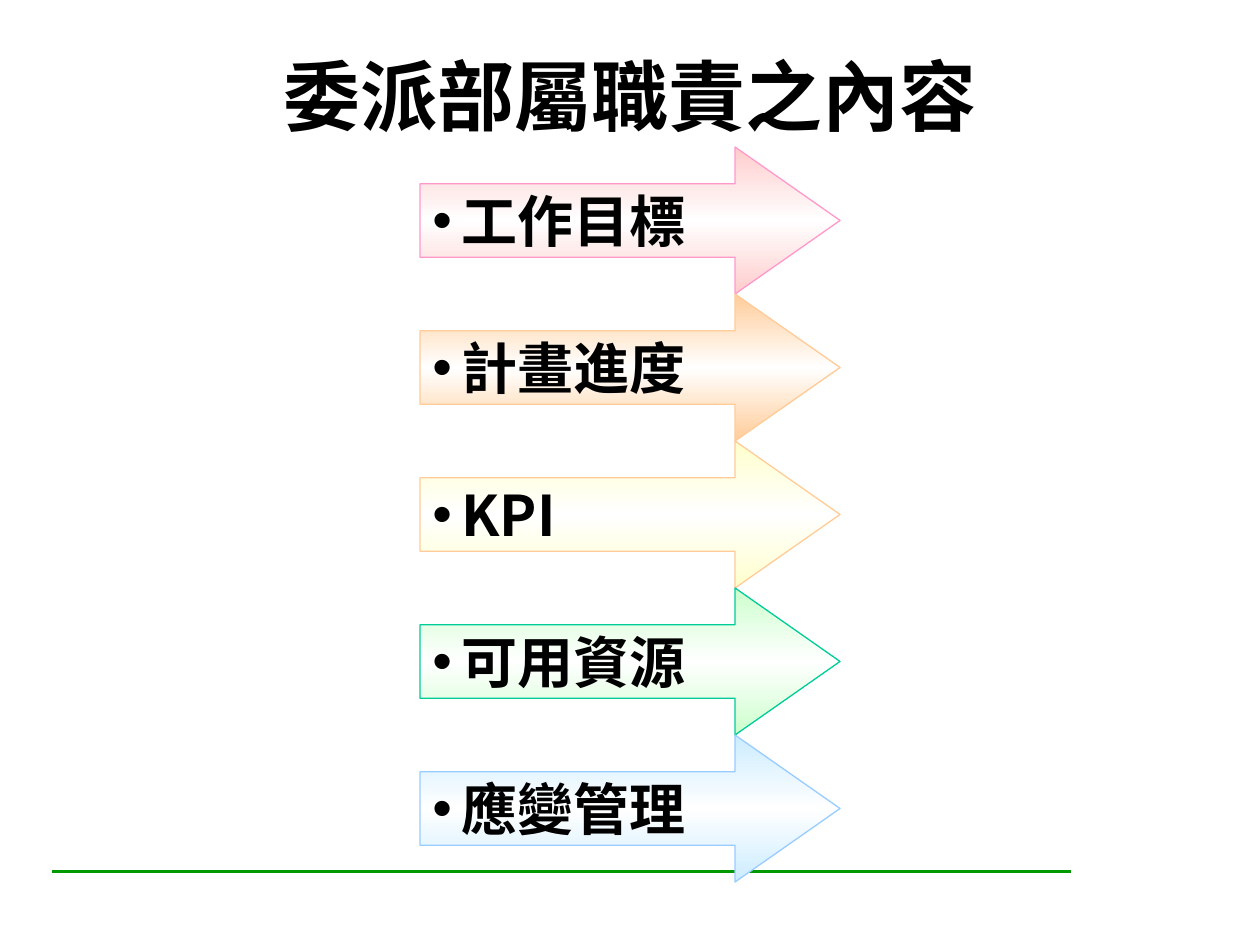
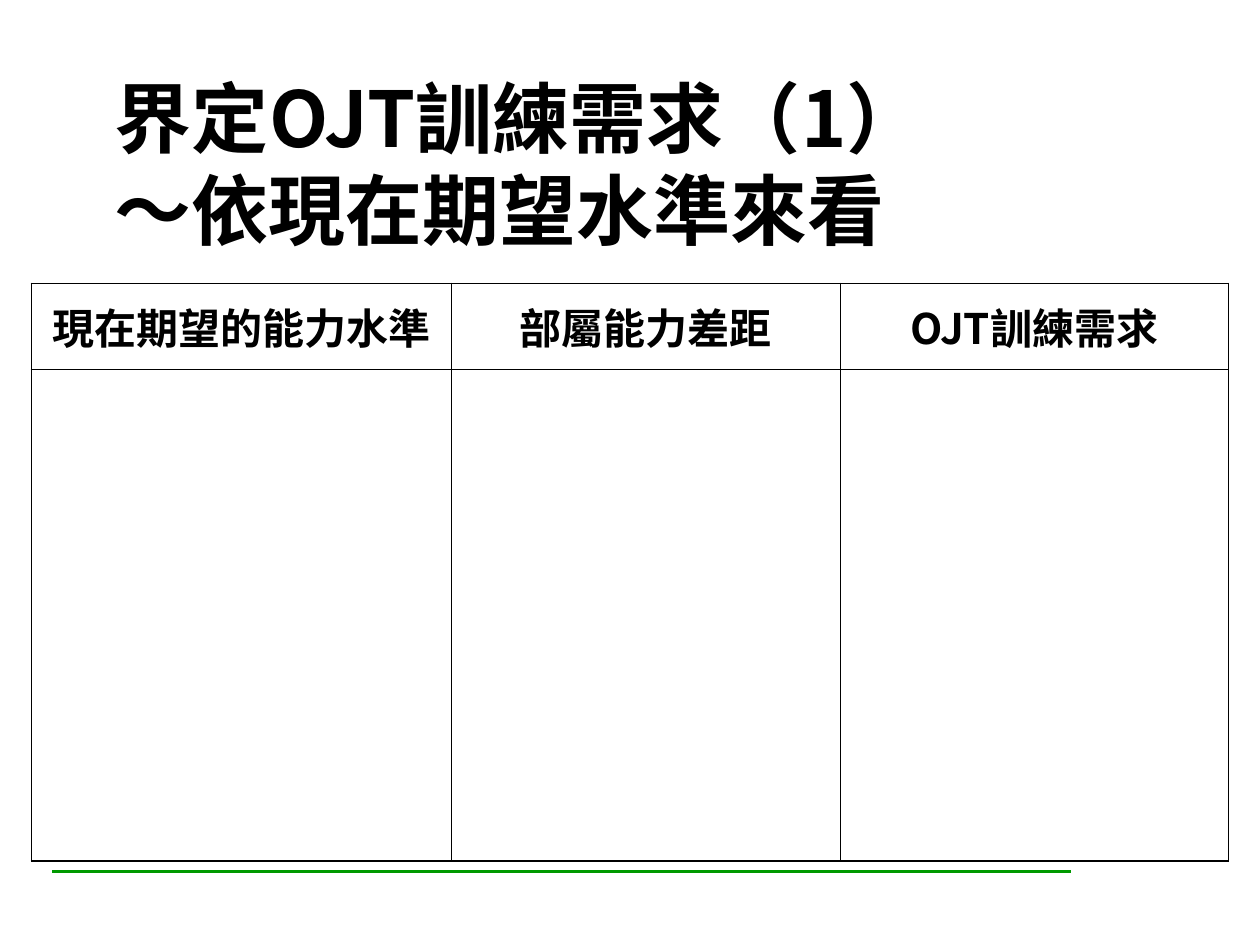
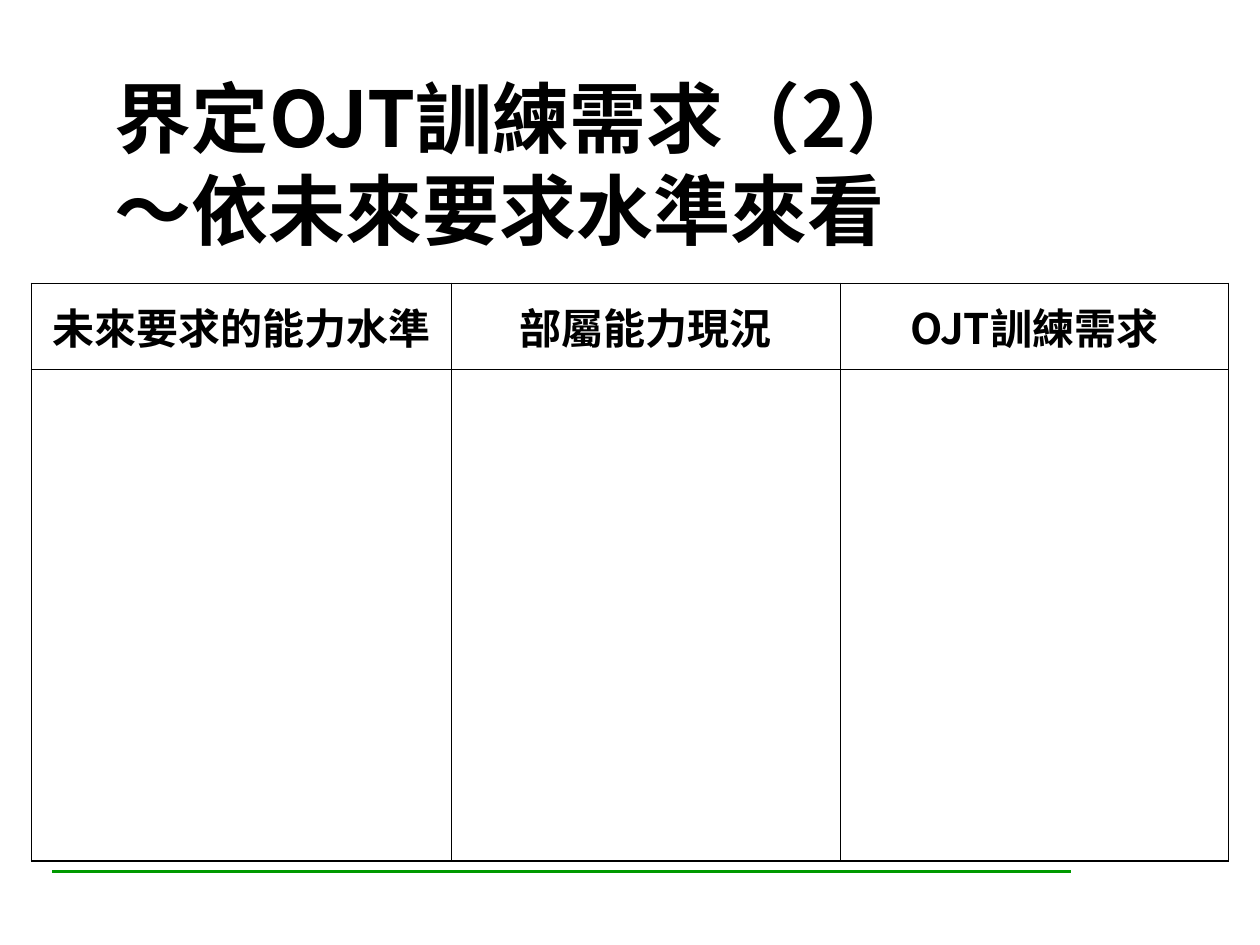
from copy import deepcopy
from typing import NamedTuple

from lxml.etree import SubElement
from pptx import Presentation
from pptx.dml.color import RGBColor
from pptx.enum.shapes import MSO_CONNECTOR as Connector, MSO_SHAPE as Preset
from pptx.enum.text import MSO_ANCHOR as Anchor, MSO_AUTO_SIZE as AutoSize, PP_ALIGN as Align
from pptx.oxml.ns import qn
from pptx.util import Emu, Inches, Pt

FONT, BULLET_FONT = "Noto Sans CJK SC", "Arial"
BULLET_INDENT = Inches(0.23)
BLACK, WHITE, GREEN = "000000", "FFFFFF", "009900"
UNIT = Inches(1) / 12  # the slide is a grid of 120 columns by 90 rows
SLIDE_COLS, SLIDE_ROWS = 120, 90
THICK, THIN = 1.08, 0.45
TITLE_ONLY = 5


class Area(NamedTuple):
    """A block of grid cells."""
    col: float
    row: float
    cols: float
    rows: float


class Duty(NamedTuple):
    label: str
    tint: str
    outline: str


class Need(NamedTuple):
    title: str
    headings: tuple[str, ...]


DUTIES = (
    Duty("工作目標", "FFCCCC", "FF99CC"),
    Duty("計畫進度", "FFCC99", "FFCC99"),
    Duty("KPI", "FFFFCC", "FFCC99"),
    Duty("可用資源", "CCFFCC", "00CC99"),
    Duty("應變管理", "CCECFF", "99CCFF"),
)
NEEDS = (
    Need("界定OJT訓練需求（1）\v～依現在期望水準來看",
         ("現在期望的能力水準", "部屬能力差距", "OJT訓練需求")),
    Need("界定OJT訓練需求（2）\v～依未來要求水準來看",
         ("未來要求的能力水準", "部屬能力現況", "OJT訓練需求")),
)
DUTY_TITLE = Area(9.5, 4.5, 101, 9)
NEED_TITLE = Area(9.75, 8.75, 100.5, 13.5)
FIRST_ARROW = Area(40, 14, 40, 14)
NEED_TABLE = Area(3, 27, 114, 55)
TABLE_COLS = (40, 37, 37)
TABLE_ROWS = (8.2, 46.8)


def grid(count: float) -> Emu:
    return Emu(round(count * UNIT))


def place(area: Area) -> list[Emu]:
    return [grid(value) for value in area]


def rgb(color: str) -> RGBColor:
    return RGBColor.from_string(color)


def write(frame, text: str, *, size: float, align=Align.LEFT, bullet: str = "") -> None:
    frame.text = text
    paragraph = frame.paragraphs[0]
    paragraph.alignment = align
    if bullet:
        props = paragraph._p.get_or_add_pPr()
        props.set("marL", str(BULLET_INDENT))
        props.set("indent", str(-BULLET_INDENT))
        SubElement(props, qn("a:buFont"), typeface=BULLET_FONT)
        SubElement(props, qn("a:buChar"), char=bullet)
    for run in paragraph.runs:
        run.font.size = Pt(size)
        run.font.bold = True
        run.font.name = FONT
        run.font.color.rgb = rgb(BLACK)
        SubElement(run._r.get_or_add_rPr(), qn("a:ea"), typeface=FONT)


def add_titled_slide(deck, title: str, area: Area, align):
    """Add a slide with its heading and the green rule at the foot."""
    slide = deck.slides.add_slide(deck.slide_layouts[TITLE_ONLY])
    heading = slide.shapes.title
    heading.left, heading.top, heading.width, heading.height = place(area)
    frame = heading.text_frame
    frame.auto_size = AutoSize.NONE
    frame.vertical_anchor = Anchor.MIDDLE
    write(frame, title, size=44, align=align)

    rule = slide.shapes.add_connector(Connector.STRAIGHT, grid(5), grid(83), grid(102), grid(83))
    rule.line.color.rgb = rgb(GREEN)
    rule.line.width = Pt(1.5)
    SubElement(rule._element.spPr, qn("a:effectLst"))
    return slide


def fill_gradient(shape, colors: tuple[str, ...]) -> None:
    """Fill from top to bottom with evenly spaced colours."""
    shape.fill.gradient()
    shape.fill.gradient_angle = 90
    stop_list = shape._element.spPr.find(f".//{qn('a:gsLst')}")
    for _ in colors[2:]:
        stop_list.append(deepcopy(stop_list[0]))
    for index, (stop, color) in enumerate(zip(shape.fill.gradient_stops, colors)):
        stop.position = index / (len(colors) - 1)
        stop.color.rgb = rgb(color)


def add_arrow(shapes, duty: Duty, area: Area) -> None:
    arrow = shapes.add_shape(Preset.RIGHT_ARROW, *place(area))
    arrow.adjustments[0], arrow.adjustments[1] = 0.5, 0.714
    arrow.shadow.inherit = False
    fill_gradient(arrow, (duty.tint, WHITE, duty.tint))
    arrow.line.color.rgb = rgb(duty.outline)
    arrow.line.width = Pt(0.75)
    frame = arrow.text_frame
    frame.word_wrap = False
    frame.vertical_anchor = Anchor.MIDDLE
    write(frame, duty.label, size=32, bullet="•")


def set_borders(cell, widths: dict[str, float]) -> None:
    props = cell._tc.get_or_add_tcPr()
    for position, (side, width) in enumerate(widths.items()):
        border = SubElement(props, qn(f"a:ln{side}"), w=str(Pt(width)))
        SubElement(SubElement(border, qn("a:solidFill")), qn("a:srgbClr"), val=BLACK)
        props.insert(position, border)


def add_need_table(slide, headings: tuple[str, ...]) -> None:
    table = slide.shapes.add_table(len(TABLE_ROWS), len(TABLE_COLS), *place(NEED_TABLE)).table
    table.first_row = table.horz_banding = False
    for column, width in zip(table.columns, TABLE_COLS):
        column.width = grid(width)
    last_row, last_col = len(TABLE_ROWS) - 1, len(TABLE_COLS) - 1
    for r, height in enumerate(TABLE_ROWS):
        table.rows[r].height = grid(height)
        for c, heading in enumerate(headings):
            cell = table.cell(r, c)
            cell.fill.background()
            cell.vertical_anchor = Anchor.MIDDLE
            outer = {"L": c == 0, "R": c == last_col, "T": r == 0, "B": r == last_row}
            set_borders(cell, {side: THICK if edge else THIN for side, edge in outer.items()})
            if r == 0:
                write(cell.text_frame, heading, size=24, align=Align.CENTER)


def main() -> None:
    deck = Presentation()
    deck.slide_width, deck.slide_height = grid(SLIDE_COLS), grid(SLIDE_ROWS)

    duties = add_titled_slide(deck, "委派部屬職責之內容", DUTY_TITLE, Align.CENTER)
    arrows = duties.shapes.add_group_shape()
    for index, duty in enumerate(DUTIES):
        row = FIRST_ARROW.row + index * FIRST_ARROW.rows
        add_arrow(arrows.shapes, duty, FIRST_ARROW._replace(row=row))

    for need in NEEDS:
        slide = add_titled_slide(deck, need.title, NEED_TITLE, Align.LEFT)
        add_need_table(slide, need.headings)

    deck.save("out.pptx")


if __name__ == "__main__":
    main()
